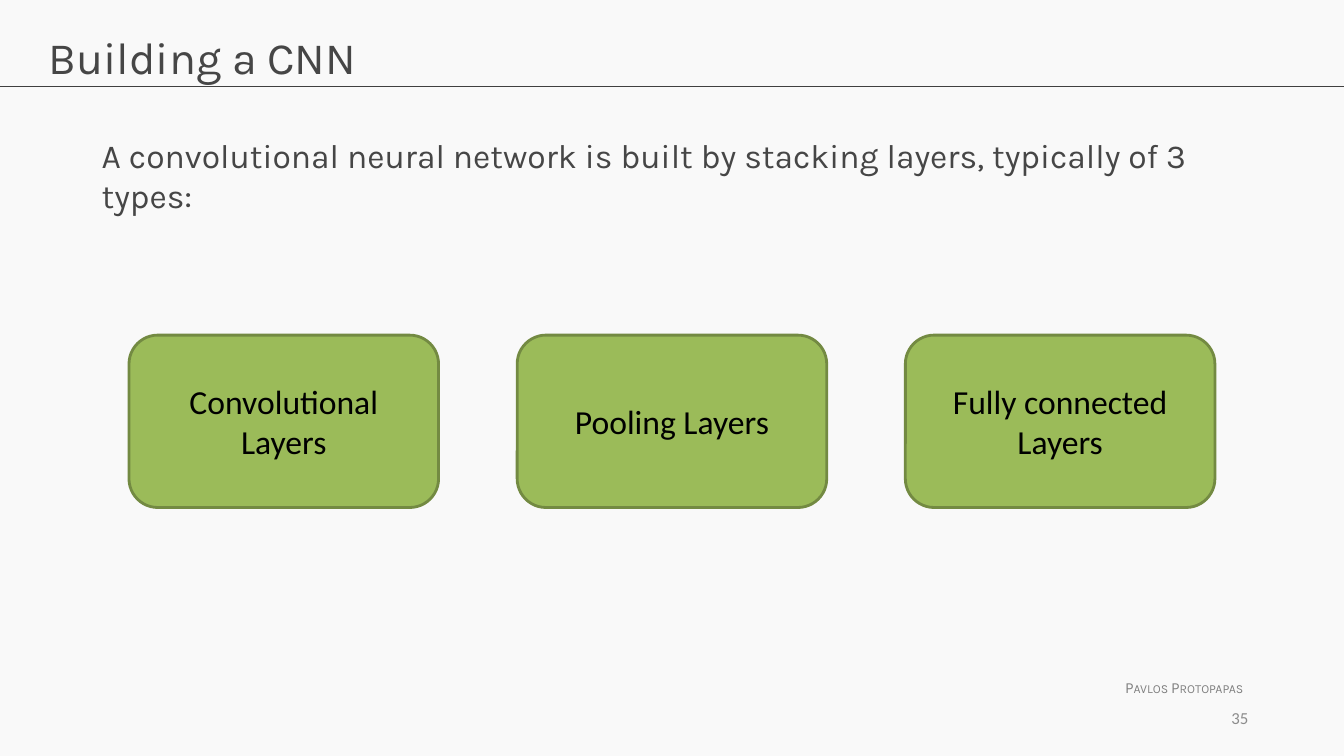
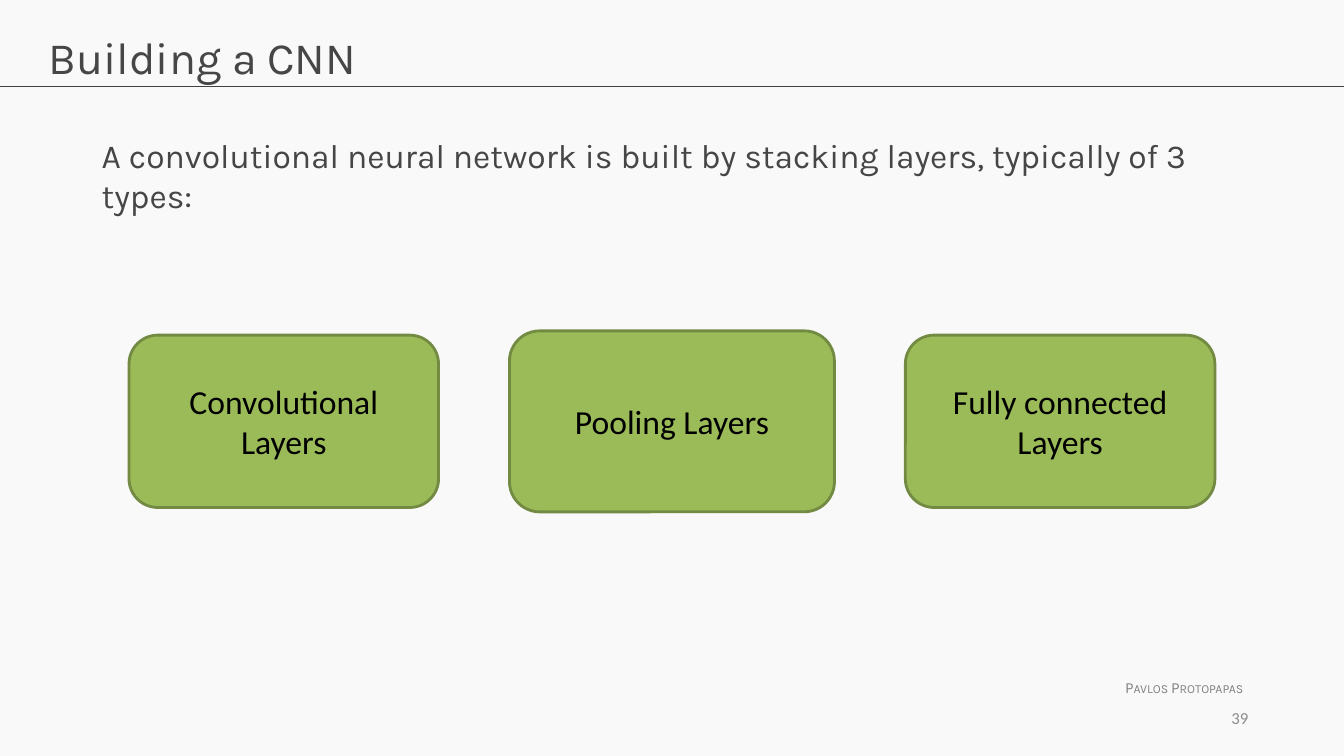
import pptx
import pptx.util
import pptx.dml.color
import pptx.enum.shapes
import pptx.enum.text
import pptx.oxml

ALIGN = pptx.enum.text.PP_ALIGN
ANCHOR = pptx.enum.text.MSO_ANCHOR
inch = pptx.util.Inches


def color(hex_string):
    return pptx.dml.color.RGBColor.from_string(hex_string)


def write(sp, text, size, font="Karla", fill="464646", align=ALIGN.LEFT,
          anchor=ANCHOR.TOP, wrap=True, small_caps=False):
    tf = sp.text_frame
    tf.auto_size = pptx.enum.text.MSO_AUTO_SIZE.NONE
    tf.word_wrap = wrap
    tf.vertical_anchor = anchor
    p = tf.paragraphs[0]
    p.alignment = align
    r = p.add_run()
    r.text = text
    r.font.size = pptx.util.Pt(size)
    r.font.name = font
    r.font.color.rgb = color(fill)
    if small_caps:
        r.font._element.set("cap", "small")


W, H = 13.33, 7.5
BOX_W, BOX_H = 3.07, 1.71
PITCH = 3.85
ROW_MIDDLE = 4.18
LAYERS = ["Convolutional Layers", "Pooling Layers", "Fully connected Layers"]
SLIDES = [("35", [1, 1, 1]), ("39", [1, 1.05, 1])]

prs = pptx.Presentation()
prs.slide_width, prs.slide_height = inch(W), inch(H)
background = prs.slide_master.background.fill
background.solid()
background.fore_color.rgb = color("F9F9F9")

for number, scales in SLIDES:
    s = prs.slides.add_slide(prs.slide_layouts[5])

    rule = s.shapes.add_connector(pptx.enum.shapes.MSO_CONNECTOR.STRAIGHT,
                                  0, inch(0.86), inch(W), inch(0.86))
    rule.line.color.rgb = color("404040")
    rule.line.width = pptx.util.Pt(0.75)
    rule._element.spPr.append(pptx.oxml.parse_xml(
        '<a:effectLst xmlns:a="http://schemas.openxmlformats.org/drawingml/2006/main"/>'))

    title = s.shapes.title
    title.left, title.top, title.width, title.height = map(inch, (0.38, 0.24, 12.57, 0.84))
    write(title, "Building a CNN", 32)

    body = s.shapes.add_textbox(*map(inch, (0.91, 1.29, 11.29, 1.2)))
    write(body, "A convolutional neural network is built by stacking layers, "
                "typically of 3 types:", 24)

    for column, (layer, scale) in enumerate(zip(LAYERS, scales)):
        w, h = BOX_W * scale, BOX_H * scale
        x = W / 2 + (column - 1) * PITCH - w / 2
        sp = s.shapes.add_shape(pptx.enum.shapes.MSO_SHAPE.ROUNDED_RECTANGLE,
                                *map(inch, (x, ROW_MIDDLE - h / 2, w, h)))
        sp.shadow.inherit = False
        sp.fill.solid()
        sp.fill.fore_color.rgb = color("9BBB59")
        sp.line.color.rgb = color("738A42")
        sp.line.width = pptx.util.Pt(2)
        write(sp, layer, 24, font="Calibri", fill="000000",
              align=ALIGN.CENTER, anchor=ANCHOR.MIDDLE)

    author = s.shapes.add_textbox(*map(inch, (11.06, 6.68, 1.41, 0.29)))
    write(author, "Pavlos Protopapas", 11, fill="808080", wrap=False, small_caps=True)

    page = s.shapes.add_textbox(*map(inch, (9.37, 6.92, 3.11, 0.4)))
    write(page, number, 12, font="Calibri", fill="8C8C8C",
          align=ALIGN.RIGHT, anchor=ANCHOR.MIDDLE)

prs.save("out.pptx")
